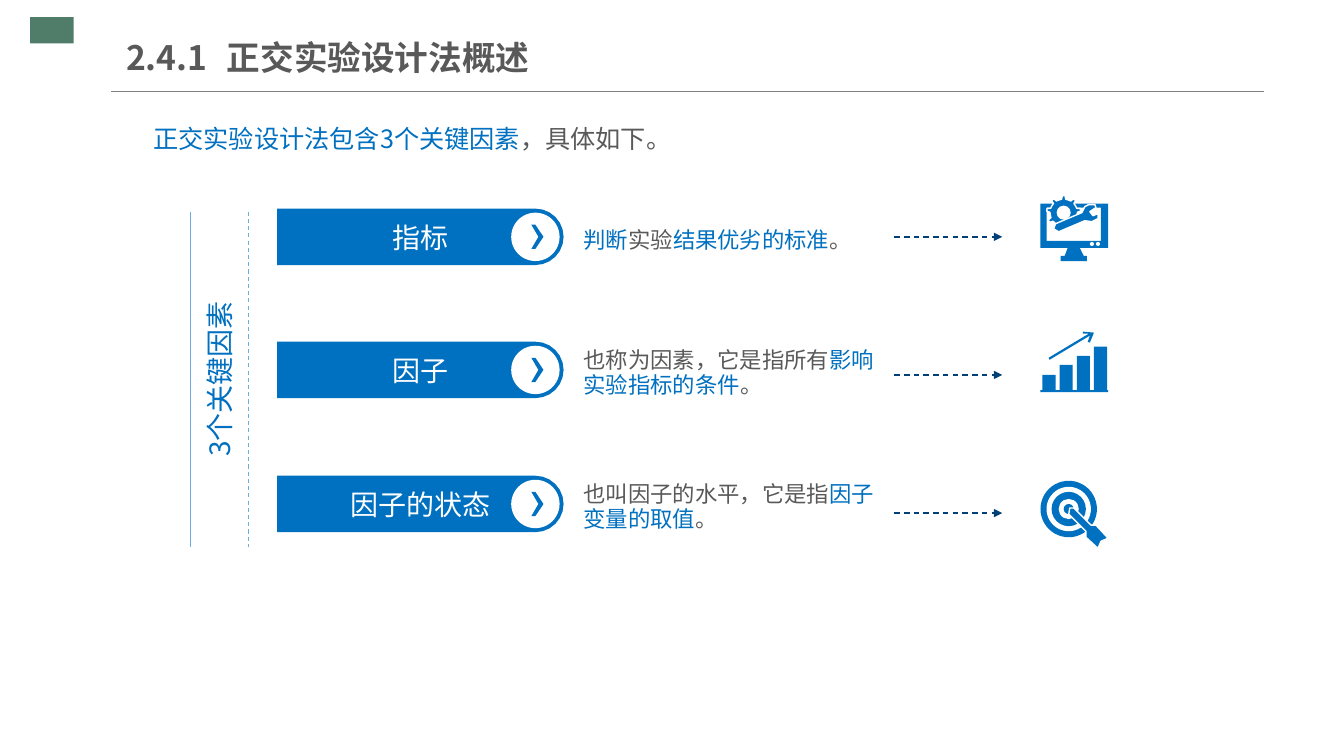
import math
import pptx
import pptx.dml.color
import pptx.enum.dml
import pptx.enum.shapes
import pptx.enum.text
import pptx.oxml.ns
import pptx.util
from lxml import etree

Inches = pptx.util.Inches
Pt = pptx.util.Pt
qn = pptx.oxml.ns.qn
ALIGN = pptx.enum.text.PP_ALIGN
KIND = pptx.enum.shapes.MSO_SHAPE
FONT = "Noto Sans CJK SC"
BLUE, GRAY, WHITE, SKY, NAVY = "0070C0", "595959", "FFFFFF", "6BAFE1", "014076"


def tint(code):
    """Turn a hex string into a colour."""
    return pptx.dml.color.RGBColor.from_string(code)


def write(shape, parts, size, align=ALIGN.LEFT, space=None, inset=(0, 0), bold=False):
    """Fill a shape with one paragraph of coloured runs."""
    frame = shape.text_frame
    frame.word_wrap = True
    frame.auto_size = pptx.enum.text.MSO_AUTO_SIZE.NONE
    frame.vertical_anchor = pptx.enum.text.MSO_ANCHOR.MIDDLE
    frame.margin_left = frame.margin_right = Inches(inset[0])
    frame.margin_top = frame.margin_bottom = Inches(inset[1])
    para = frame.paragraphs[0]
    para.alignment = align
    para.line_spacing = space
    for text, code in parts:
        run = para.add_run()
        run.text = text
        run.font.size = Pt(size)
        run.font.bold = bold
        run.font.color.rgb = tint(code)
        run.font.name = FONT
        etree.SubElement(run.font._element, qn("a:ea")).set("typeface", FONT)


def label(slide, box, parts, size, **style):
    """Add a text box."""
    shape = slide.shapes.add_textbox(*map(Inches, box))
    write(shape, parts, size, **style)
    return shape


def paint(shape, code, edge=0):
    """Give a shape a flat fill and an optional white edge."""
    shape.shadow.inherit = False
    shape.fill.solid()
    shape.fill.fore_color.rgb = tint(code)
    if edge:
        shape.line.color.rgb = tint(WHITE)
        shape.line.width = Pt(edge)
    else:
        shape.line.fill.background()


def rule(slide, start, end, code, width=0.75, dash=False, arrow=False):
    """Draw a straight line, dashed or with an arrowhead if asked."""
    kind = pptx.enum.shapes.MSO_CONNECTOR.STRAIGHT
    link = slide.shapes.add_connector(kind, *map(Inches, (*start, *end)))
    link.line.color.rgb = tint(code)
    link.line.width = Pt(width)
    if dash:
        link.line.dash_style = pptx.enum.dml.MSO_LINE.DASH
    props = link.element.spPr
    if arrow:
        etree.SubElement(props.find(qn("a:ln")), qn("a:tailEnd")).set("type", "triangle")
    etree.SubElement(props, qn("a:effectLst"))


def form(slide, left, top, loops, edge=0):
    """Draw closed loops, offset from a corner, as one blue outline."""
    maker = None
    for loop in loops:
        first, *rest = [(Inches(left + x), Inches(top + y)) for x, y in loop]
        if maker is None:
            maker = slide.shapes.build_freeform(*first)
        else:
            maker.move_to(*first)
        maker.add_line_segments(rest, close=True)
    shape = maker.convert_to_shape()
    paint(shape, BLUE, edge)
    return shape


def disc(slide, x, y, size, code, kind=KIND.OVAL, edge=0):
    """Draw a round preset about a centre."""
    box = (x - size, y - size, 2 * size, 2 * size)
    paint(slide.shapes.add_shape(kind, *map(Inches, box)), code, edge)


def block(left, top, right, base):
    """List the corners of a rectangle."""
    return [(left, top), (right, top), (right, base), (left, base)]


def screen(slide, left, top):
    """Draw a monitor with a gear and a wrench."""
    stand = [(0.27, 0.49), (0.39, 0.49), (0.43, 0.57), (0.46, 0.57),
             (0.46, 0.62), (0.2, 0.62), (0.2, 0.57), (0.24, 0.57)]
    form(slide, left, top, [block(0, 0.05, 0.67, 0.49), block(0.06, 0.09, 0.6, 0.42), stand])
    for x in (0.51, 0.57):
        disc(slide, left + x, top + 0.45, 0.02, WHITE)
    disc(slide, left + 0.23, top + 0.14, 0.17, BLUE, KIND.GEAR_9, 1)
    disc(slide, left + 0.23, top + 0.14, 0.07, WHITE)
    wrench = [(0.48, 0.06), (0.54, 0.06), (0.55, 0.09), (0.49, 0.13), (0.52, 0.17), (0.57, 0.15),
              (0.57, 0.2), (0.51, 0.23), (0.44, 0.22), (0.18, 0.33), (0.13, 0.3), (0.15, 0.25),
              (0.41, 0.14), (0.44, 0.08)]
    form(slide, left, top, [wrench], 1)


def growth(slide, left, top):
    """Draw rising bars under an arrow."""
    bars = [block(0.02 + 0.17 * i, y, 0.15 + 0.17 * i, 0.58)
            for i, y in enumerate((0.43, 0.33, 0.24, 0.15))]
    arrow = [(0.08, 0.26), (0.48, 0.02), (0.42, 0.02), (0.42, 0), (0.53, 0.01),
             (0.49, 0.11), (0.47, 0.1), (0.49, 0.04), (0.09, 0.28)]
    form(slide, left, top, [*bars, block(0, 0.58, 0.67, 0.6), arrow])


def target(slide, left, top):
    """Draw a target hit by a dart."""
    for i, size in enumerate((0.28, 0.22, 0.17, 0.1, 0.05)):
        disc(slide, left + 0.28, top + 0.28, size, (BLUE, WHITE)[i % 2])
    dart = [(0.29, 0.27), (0.33, 0.27), (0.5, 0.44), (0.55, 0.44), (0.67, 0.57),
            (0.6, 0.6), (0.57, 0.67), (0.45, 0.56), (0.45, 0.5), (0.28, 0.33)]
    form(slide, left, top, [dart], 1)


def header(slide, left, top):
    """Place the corner mark, the title and its rule."""
    mark = slide.shapes.add_shape(KIND.RECTANGLE, *map(Inches, (left, top, 0.43, 0.26)))
    paint(mark, "4F7D6A")
    rule(slide, (left + 0.8, top + 0.74), (left + 12.24, top + 0.74), "808080")
    title = slide.shapes.title
    title.left, title.top, title.width, title.height = map(
        Inches, (left + 0.95, top + 0.12, 4.26, 0.55))
    write(title, [("2.4.1\t正交实验设计法概述", GRAY)], 24, inset=(0, 0.07), bold=True)


def side(slide, left, top, high):
    """Place the upright caption between two lines."""
    shape = label(slide, (left + 0.02, top + 0.34, 0.54, 2.64), [("3个关键因素", BLUE)], 20,
                  align=ALIGN.CENTER)
    shape.text_frame._txBody.bodyPr.set("vert", "vert270")
    for x, dash in ((left, False), (left + 0.57, True)):
        rule(slide, (x, top), (x, top + high), SKY, dash=dash)


def factor(slide, left, top, name, parts, shift, icon, rise):
    """Place one factor: its bar, text, arrow and icon."""
    turns = [math.radians(15 * i - 90) for i in range(13)]
    curve = [(2.56 + 0.28 * math.cos(t), 0.28 + 0.28 * math.sin(t)) for t in turns]
    bar = form(slide, left, top, [[(0, 0), *curve, (0, 0.56)]])
    write(bar, [(name, WHITE)], 20, align=ALIGN.CENTER)
    disc(slide, left + 2.56, top + 0.28, 0.24, WHITE)
    mark = [(2.52, 0.16), (2.59, 0.28), (2.52, 0.4), (2.56, 0.4), (2.64, 0.28), (2.56, 0.16)]
    form(slide, left, top, [mark])
    label(slide, (left + 2.94, top - 0.08, 3.18, 0.78), parts, 16, space=Pt(18), inset=(0.1, 0.05))
    y = top + shift
    rule(slide, (left + 6.12, y), (left + 7.19, y), NAVY, 1, dash=True, arrow=True)
    icon(slide, left + 7.57, top + rise)


def main():
    """Build the slide and save it."""
    deck = pptx.Presentation()
    deck.slide_width, deck.slide_height = Inches(13.33), Inches(7.5)
    slide = deck.slides.add_slide(deck.slide_layouts[5])
    header(slide, 0.3, 0.17)
    label(slide, (1.39, 1, 11.11, 0.59),
          [("正交实验设计法包含3个关键因素", BLUE), ("，具体如下。", GRAY)], 18,
          align=ALIGN.JUSTIFY, space=1.5, inset=(0.13, 0.07))
    side(slide, 1.89, 2.1, 3.33)
    rows = [
        (2.07, "指标", [("判断", BLUE), ("实验", GRAY), ("结果优劣的标准", BLUE), ("。", GRAY)],
         0.28, screen, -0.1),
        (3.39, "因子", [("也称为因素，它是指所有", GRAY), ("影响实验指标的条件", BLUE), ("。", GRAY)],
         0.33, growth, -0.1),
        (4.72, "因子的状态", [("也叫因子的水平，它是指", GRAY), ("因子变量的取值", BLUE), ("。", GRAY)],
         0.37, target, 0.05),
    ]
    for row in rows:
        factor(slide, 2.75, *row)
    deck.save("out.pptx")


if __name__ == "__main__":
    main()
